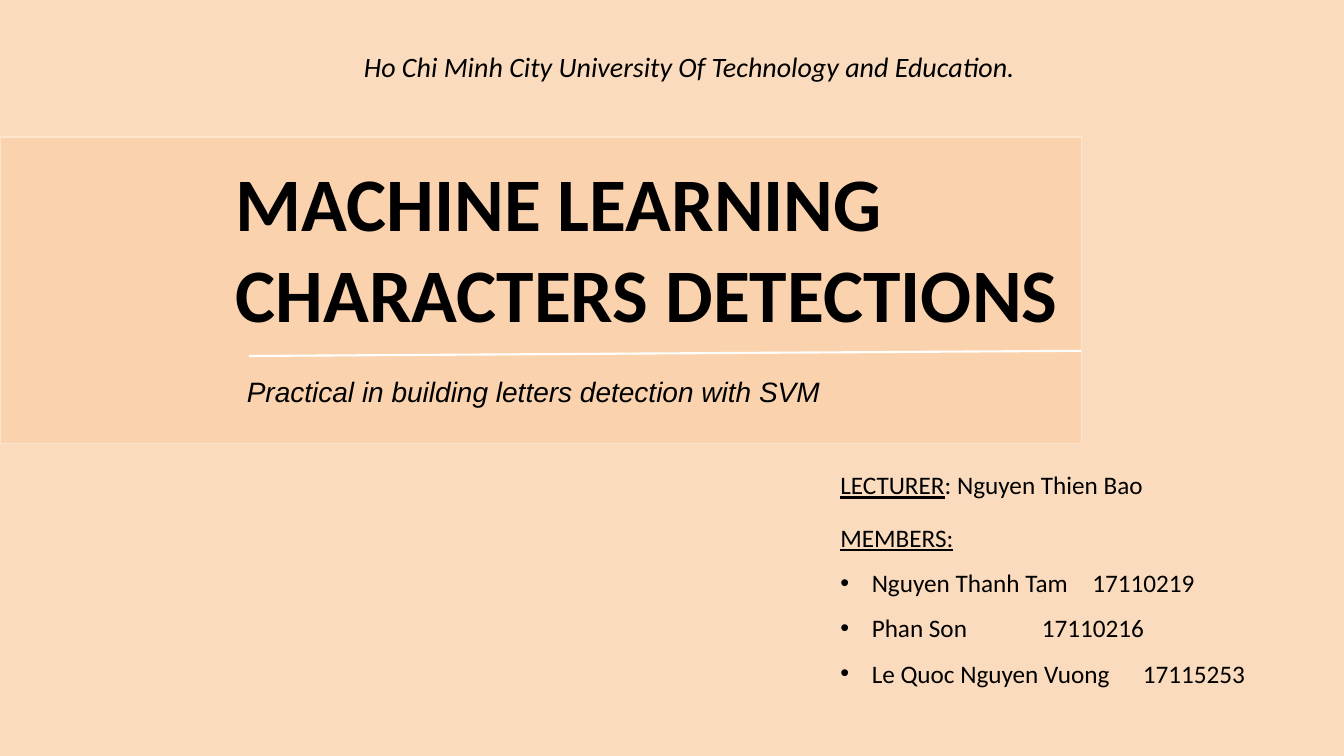
from lxml import etree
from pptx import Presentation
from pptx.dml.color import RGBColor
from pptx.enum import shapes, text
from pptx.oxml import ns
from pptx.util import Cm, Pt

PEACH = RGBColor(0xFB, 0xDB, 0xBD)
ORANGE = RGBColor(0xF8, 0xC3, 0x91)
PALE = RGBColor(0xFC, 0xE4, 0xCD)
BLACK = RGBColor(0, 0, 0)
WHITE = RGBColor(0xFF, 0xFF, 0xFF)
MEMBERS = ["Nguyen Thanh Tam\t17110219", "Phan Son\t\t17110216", "Le Quoc Nguyen Vuong\t17115253"]


def add_band(slide, left, top, width, height):
    """Add the translucent band behind the title."""
    band = slide.shapes.add_shape(shapes.MSO_SHAPE.RECTANGLE, left, top, width, height)
    band.shadow.inherit = False
    band.fill.solid()
    band.fill.fore_color.rgb = ORANGE
    colour = band.fill._xPr.find(".//" + ns.qn("a:srgbClr"))
    etree.SubElement(colour, ns.qn("a:alpha"), val="32000")
    band.line.color.rgb = PALE
    band.line.width = Pt(1)


def add_rule(slide, start_x, start_y, end_x, end_y):
    """Add the white line under the title."""
    rule = slide.shapes.add_connector(shapes.MSO_CONNECTOR.STRAIGHT, start_x, start_y, end_x, end_y)
    rule.line.color.rgb = WHITE
    rule.line.width = Pt(1.5)
    etree.SubElement(rule._element.spPr, ns.qn("a:effectLst"))


def add_text(slide, left, top, width, height, lines, size, font="Calibri",
             bold=False, italic=False, spacing=None, middle=True, wrap=True):
    """Add a text box with one paragraph per line and return its paragraphs."""
    frame = slide.shapes.add_textbox(left, top, width, height).text_frame
    frame.word_wrap = wrap
    frame.auto_size = text.MSO_AUTO_SIZE.SHAPE_TO_FIT_TEXT
    frame.vertical_anchor = text.MSO_ANCHOR.MIDDLE if middle else text.MSO_ANCHOR.TOP
    frame.text = "\n".join(lines)
    for paragraph in frame.paragraphs:
        paragraph.line_spacing = spacing
        for run in paragraph.runs:
            style_run(run, size, font, bold, italic)
    return frame.paragraphs


def style_run(run, size, font="Calibri", bold=False, italic=False):
    """Set the font of a run."""
    run.font.size = Pt(size)
    run.font.name = font
    run.font.bold = bold
    run.font.italic = italic
    run.font.color.rgb = BLACK


def add_bullet(paragraph):
    """Give a paragraph a hanging round bullet."""
    properties = paragraph._p.get_or_add_pPr()
    properties.set("marL", str(Cm(0.79)))
    properties.set("indent", str(Cm(-0.79)))
    etree.SubElement(properties, ns.qn("a:buFont"), typeface="Arial")
    etree.SubElement(properties, ns.qn("a:buChar"), char="•")


def add_credits(slide):
    """Add the lecturer and the list of members."""
    left = Cm(20.93)
    lecturer = add_text(slide, left, Cm(11.71), Cm(8.23), Cm(1.02), ["LECTURER"], 18,
                        middle=False, wrap=False)[0]
    lecturer.runs[0].font.underline = True
    name = lecturer.add_run()
    name.text = ": Nguyen Thien Bao"
    style_run(name, 18)
    heading, *members = add_text(slide, left, Cm(12.65), Cm(11.76), Cm(4.75),
                                 ["MEMBERS:", *MEMBERS], 18, spacing=1.5, middle=False)
    heading.runs[0].font.underline = True
    for member in members:
        add_bullet(member)


def main():
    """Build and save the title slide."""
    presentation = Presentation()
    presentation.slide_width = Cm(33.87)
    presentation.slide_height = Cm(19.05)
    slide = presentation.slides.add_slide(presentation.slide_layouts[6])
    slide.background.fill.solid()
    slide.background.fill.fore_color.rgb = PEACH

    add_band(slide, Cm(0), Cm(3.45), Cm(27.25), Cm(7.72))
    add_text(slide, Cm(5.69), Cm(3.78), Cm(22.48), Cm(4.88),
             ["MACHINE LEARNING", "CHARACTERS DETECTIONS"], 54, bold=True)
    add_text(slide, Cm(5.97), Cm(8.97), Cm(16.92), Cm(1.37),
             ["Practical in building letters detection with SVM"], 20, "Arial",
             italic=True, spacing=1.5)
    add_credits(slide)
    add_text(slide, Cm(8.92), Cm(0.69), Cm(17.7), Cm(1.55),
             ["Ho Chi Minh City University Of Technology and Education."], 20,
             italic=True, spacing=1.5)
    add_rule(slide, Cm(6.27), Cm(8.97), Cm(27.25), Cm(8.84))
    presentation.save("out.pptx")


if __name__ == "__main__":
    main()
